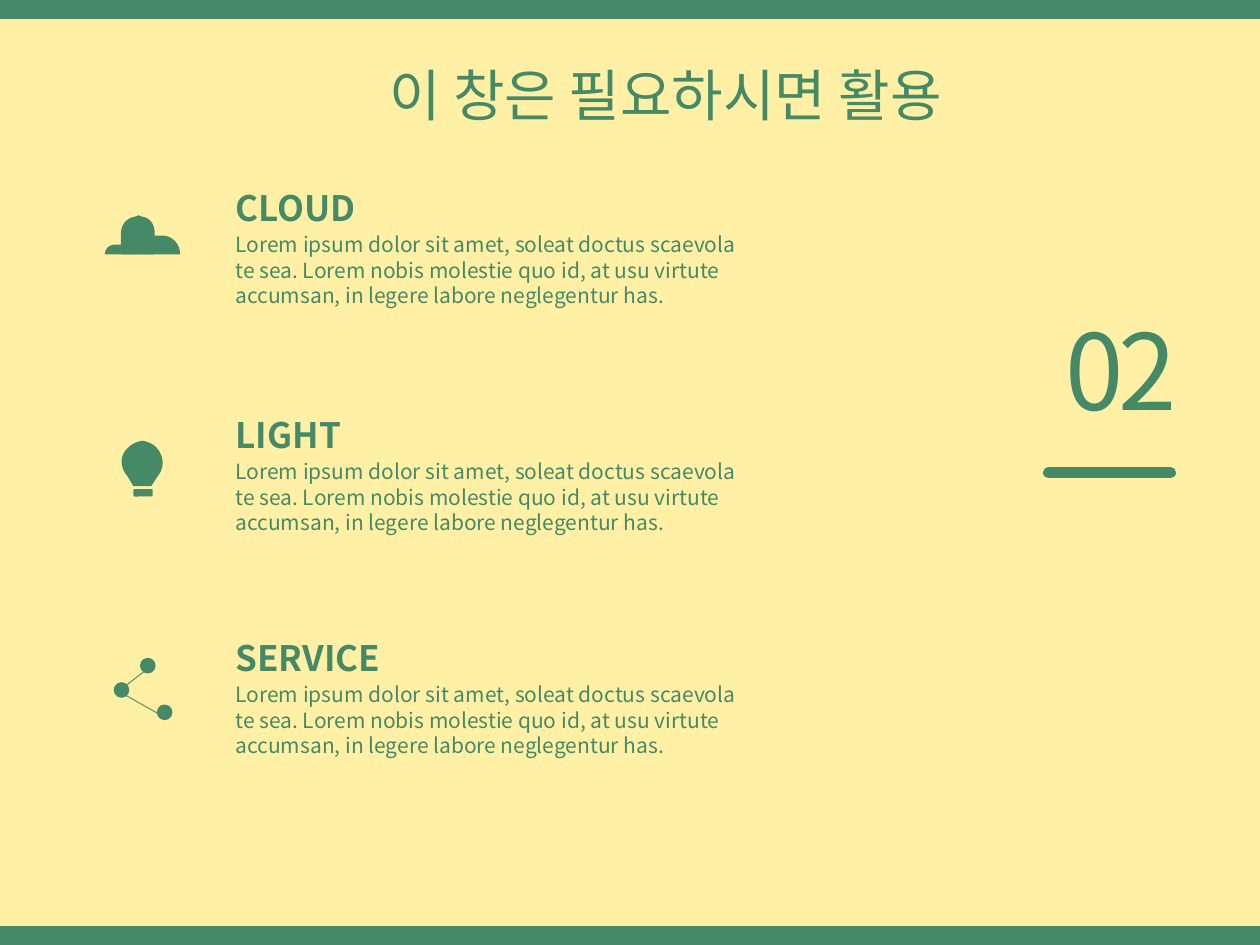
from dataclasses import dataclass

from lxml.etree import SubElement
from pptx import Presentation
from pptx.dml.color import RGBColor
from pptx.enum.shapes import MSO_CONNECTOR, MSO_SHAPE
from pptx.enum.text import MSO_AUTO_SIZE, PP_ALIGN
from pptx.oxml.ns import qn
from pptx.util import Cm, Pt


@dataclass(frozen=True)
class Theme:
    green: RGBColor = RGBColor(0x46, 0x89, 0x66)
    cream: RGBColor = RGBColor(0xFF, 0xF0, 0xA5)
    font: str = "Noto Sans CJK KR"
    number_size: int = 60
    title_size: int = 32
    heading_size: int = 20
    body_size: int = 12


THEME = Theme()
CURVE_STEPS = 12
BODY = (
    "Lorem ipsum dolor sit amet, soleat doctus scaevola te sea. "
    "Lorem nobis molestie quo id, at usu virtute accumsan, "
    "in legere labore neglegentur has."
)

CLOUD_LOBES = [
    [(2.34, 4.93), (2.57, 4.93), (2.64, 4.93, 2.72, 4.98, 2.74, 5.05),
     (2.77, 5.13), (2.11, 5.13), (2.13, 5.05),
     (2.16, 4.98, 2.24, 4.93, 2.34, 4.93)],
    [(2.79, 4.34), (2.87, 4.37), (3.02, 4.39, 3.12, 4.52, 3.12, 4.7),
     (3.12, 5), (3.1, 5.13), (2.46, 5.13), (2.44, 5), (2.44, 4.7),
     (2.44, 4.52, 2.57, 4.39, 2.72, 4.37)],
    [(3.15, 4.75), (3.28, 4.75), (3.45, 4.75, 3.63, 4.9, 3.63, 5.11),
     (3.63, 5.13), (2.79, 5.13), (2.79, 5.11),
     (2.79, 4.9, 2.95, 4.75, 3.15, 4.75)],
]
BULB_GLASS = [
    (2.87, 8.89), (2.9, 8.89), (3, 8.92, 3.07, 8.94, 3.15, 9.02),
    (3.3, 9.17, 3.33, 9.42, 3.18, 9.6), (3.05, 9.8), (2.69, 9.8),
    (2.57, 9.6), (2.41, 9.42, 2.41, 9.17, 2.59, 9.02),
    (2.67, 8.94, 2.74, 8.92, 2.84, 8.89),
]


def paint(shape, line_width=None):
    shape.shadow.inherit = False
    shape.fill.solid()
    shape.fill.fore_color.rgb = THEME.green
    if line_width is None:
        shape.line.fill.background()
    else:
        shape.line.color.rgb = THEME.green
        shape.line.width = Pt(line_width)


def add_solid(shapes, kind, left, top, width, height, line_width=None):
    shape = shapes.add_shape(kind, Cm(left), Cm(top), Cm(width), Cm(height))
    paint(shape, line_width)


def add_line(shapes, start, end, width, round_cap=False):
    connector = shapes.add_connector(
        MSO_CONNECTOR.STRAIGHT, *(Cm(value) for value in start + end))
    connector.line.color.rgb = THEME.green
    connector.line.width = Pt(width)
    if round_cap:
        connector.line._get_or_add_ln().set("cap", "rnd")
    SubElement(connector._element.spPr, qn("a:effectLst"))


def curve_points(start, curve):
    controls = [start, curve[:2], curve[2:4], curve[4:]]
    for step in range(1, CURVE_STEPS + 1):
        t = step / CURVE_STEPS
        weights = ((1 - t) ** 3, 3 * t * (1 - t) ** 2, 3 * t * t * (1 - t), t ** 3)
        yield tuple(
            sum(weight * point[axis] for weight, point in zip(weights, controls))
            for axis in (0, 1))


def add_outline(shapes, segments):
    points = [segments[0]]
    for segment in segments[1:]:
        if len(segment) == 2:
            points.append(segment)
        else:
            points.extend(curve_points(points[-1], segment))
    corners = [(Cm(x), Cm(y)) for x, y in points]
    builder = shapes.build_freeform(*corners[0])
    builder.add_line_segments(corners[1:], close=True)
    paint(builder.convert_to_shape())


def add_text(slide, text, box, size, line_spacing, bold=False,
             alignment=PP_ALIGN.LEFT, tracking=None):
    shape = slide.shapes.add_textbox(*(Cm(value) for value in box))
    frame = shape.text_frame
    frame.margin_left = frame.margin_right = 0
    frame.margin_top = frame.margin_bottom = 0
    frame.word_wrap = True
    frame.auto_size = MSO_AUTO_SIZE.SHAPE_TO_FIT_TEXT
    paragraph = frame.paragraphs[0]
    paragraph.alignment = alignment
    paragraph.line_spacing = Pt(line_spacing)
    run = paragraph.add_run()
    run.text = text
    run.font.name = THEME.font
    run.font.size = Pt(size)
    run.font.bold = bold
    run.font.color.rgb = THEME.green
    properties = run.font._element
    SubElement(properties, qn("a:ea")).set("typeface", THEME.font)
    if tracking is not None:
        properties.set("spc", str(tracking * 100))


def add_item(slide, heading, top):
    add_text(slide, heading, (4.75, top, 10.19, 0.86), THEME.heading_size, 25, bold=True)
    add_text(slide, BODY, (4.75, top + 0.94, 10.16, 1.55), THEME.body_size, 14.5)


def add_cloud_icon(slide):
    shapes = slide.shapes.add_group_shape().shapes
    for lobe in CLOUD_LOBES:
        add_outline(shapes, lobe)


def add_bulb_icon(slide):
    shapes = slide.shapes.add_group_shape().shapes
    add_outline(shapes, BULB_GLASS)
    add_solid(shapes, MSO_SHAPE.ROUNDED_RECTANGLE, 2.69, 9.86, 0.39, 0.15)


def add_share_icon(slide):
    shapes = slide.shapes.add_group_shape().shapes
    for left, top in ((2.84, 13.28), (2.31, 13.77), (3.18, 14.22)):
        add_solid(shapes, MSO_SHAPE.OVAL, left, top, 0.28, 0.28, line_width=1)
    add_line(shapes, (2.9, 13.54), (2.54, 13.82), 0.5)
    add_line(shapes, (2.54, 14.02), (3.18, 14.38), 0.5)


def main():
    presentation = Presentation()
    presentation.slide_width = Cm(25.4)
    presentation.slide_height = Cm(19.05)
    slide = presentation.slides.add_slide(presentation.slide_layouts[6])
    slide.background.fill.solid()
    slide.background.fill.fore_color.rgb = THEME.cream
    for top in (0, 18.67):
        add_solid(slide.shapes, MSO_SHAPE.RECTANGLE, 0, top, 25.4, 0.38)
    add_text(slide, "02", (19.43, 6.93, 4.29, 1.98), THEME.number_size, 50,
             alignment=PP_ALIGN.RIGHT, tracking=-3)
    add_text(slide, "이 창은 필요하시면 활용", (6.4, 1.52, 12.6, 1.07),
             THEME.title_size, 30, alignment=PP_ALIGN.RIGHT)
    add_line(slide.shapes, (21.13, 9.53), (23.6, 9.53), 6, round_cap=True)
    add_cloud_icon(slide)
    add_bulb_icon(slide)
    add_share_icon(slide)
    for heading, top in (("CLOUD", 3.73), ("LIGHT", 8.31), ("SERVICE", 12.8)):
        add_item(slide, heading, top)
    presentation.save("out.pptx")


if __name__ == "__main__":
    main()
